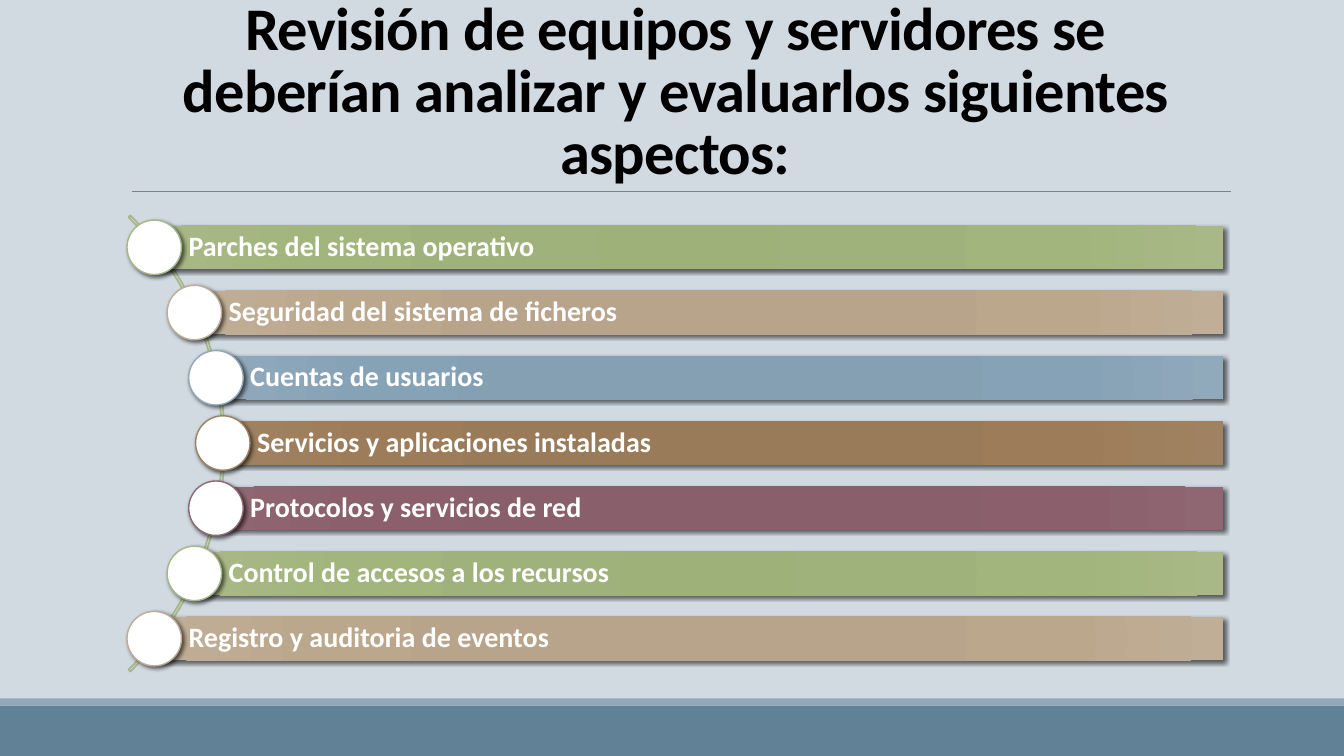
"""Build a slide listing the aspects to review on computers and servers."""
from math import sqrt

from lxml.etree import SubElement
from pptx import Presentation
from pptx.dml.color import RGBColor
from pptx.enum.shapes import MSO_CONNECTOR, MSO_SHAPE
from pptx.enum.text import MSO_ANCHOR, PP_ALIGN
from pptx.oxml import parse_xml
from pptx.oxml.ns import nsdecls, qn
from pptx.util import Inches, Pt

TITLE = "Revisión de equipos y servidores se deberían analizar y evaluarlos siguientes aspectos:"
GREEN = ("9EB179", "9FB27C", "A2B57C", "A8B987"), RGBColor(0xA7, 0xB7, 0x89)
SAND = ("B6A388", "B7A48B", "BBA78C", "C0AE96"), RGBColor(0xBE, 0xAE, 0x98)
BLUE = ("839EB2", "85A0B3", "86A2B6", "90A9BB"), RGBColor(0x92, 0xA9, 0xB9)
BROWN = ("997A56", "997B59", "9D7D59", "9F8262"), RGBColor(0x9C, 0x82, 0x65)
PLUM = ("885D6A", "895F6C", "8C5F6D", "8F6773"), RGBColor(0x8D, 0x69, 0x74)
ASPECTS = [
    ("Parches del sistema operativo", GREEN),
    ("Seguridad del sistema de ficheros", SAND),
    ("Cuentas de usuarios", BLUE),
    ("Servicios y aplicaciones instaladas", BROWN),
    ("Protocolos y servicios de red", PLUM),
    ("Control de accesos a los recursos", GREEN),
    ("Registro y auditoria de eventos", SAND),
]
BACKGROUND = RGBColor(0xD1, 0xD9, 0xE1)
FOOTER = RGBColor(0x61, 0x81, 0x97)
FOOTER_EDGE = RGBColor(0x92, 0xA9, 0xB9)
RULE = RGBColor(0x80, 0x80, 0x80)
WHITE = RGBColor(0xFF, 0xFF, 0xFF)
BLACK = RGBColor(0, 0, 0)

STOPS = (0, 34, 70, 100)
WIDTH, HEIGHT = 13.33, 7.5
MIDDLE_Y, STEP = 4.395, 0.647
CURVE_X, CURVE_RADIUS = -0.9, 3.11
BAR_RIGHT, BAR_HEIGHT, DOT = 12.13, 0.43, 0.54
TITLE_FONT = {"name": "Calibri", "size": Pt(43.2), "bold": True}
BAR_FONT = {"name": "Calibri", "size": Pt(20), "bold": True}
BAR_FRAME = {
    "word_wrap": True, "vertical_anchor": MSO_ANCHOR.MIDDLE,
    "margin_left": Inches(0.34), "margin_right": Inches(0.06),
    "margin_top": Inches(0.06), "margin_bottom": Inches(0.06),
}
TITLE_FRAME = {"word_wrap": True, "vertical_anchor": MSO_ANCHOR.BOTTOM}


def add_shape(slide, kind, box, fill=None, line=None, line_width=1):
    shape = slide.shapes.add_shape(kind, *map(Inches, box))
    shape.shadow.inherit = False
    if fill is None:
        shape.fill.background()
    else:
        shape.fill.solid()
        shape.fill.fore_color.rgb = fill
    if line is None:
        shape.line.fill.background()
    else:
        shape.line.color.rgb = line
        shape.line.width = Pt(line_width)
    return shape


def add_shadow(shape):
    effects = shape._element.spPr.find(qn("a:effectLst"))
    effects.append(parse_xml(
        f'<a:outerShdw {nsdecls("a")} blurRad="{Pt(3)}" dist="{Pt(2)}" dir="2700000" '
        'algn="ctr" rotWithShape="0"><a:srgbClr val="000000"><a:alpha val="60000"/>'
        '</a:srgbClr></a:outerShdw>'))


def set_radial_fill(shape, colors):
    stops = "".join(
        f'<a:gs pos="{stop * 1000}"><a:srgbClr val="{color}"/></a:gs>'
        for stop, color in zip(STOPS, colors))
    gradient = parse_xml(
        f'<a:gradFill {nsdecls("a")} rotWithShape="1"><a:gsLst>{stops}</a:gsLst>'
        '<a:path path="circle"><a:fillToRect l="100000" t="100000" r="100000" b="100000"/>'
        '</a:path></a:gradFill>')
    properties = shape._element.spPr
    properties.replace(properties.find(qn("a:noFill")), gradient)


def write_text(shape, text, frame_format, font_format, color, align, spacing):
    frame = shape.text_frame
    for name, value in frame_format.items():
        setattr(frame, name, value)
    paragraph = frame.paragraphs[0]
    paragraph.alignment = align
    paragraph.line_spacing = spacing
    run = paragraph.add_run()
    run.text = text
    for name, value in font_format.items():
        setattr(run.font, name, value)
    run.font.color.rgb = color
    return run


def add_frame(slide):
    slide.background.fill.solid()
    slide.background.fill.fore_color.rgb = BACKGROUND
    add_shape(slide, MSO_SHAPE.RECTANGLE, (0, 7, WIDTH, 0.5), FOOTER)
    add_shape(slide, MSO_SHAPE.RECTANGLE, (0, 6.93, WIDTH, 0.07), FOOTER_EDGE)
    rule = slide.shapes.add_connector(
        MSO_CONNECTOR.STRAIGHT, *map(Inches, (1.31, 1.9, 12.21, 1.9)))
    rule.line.color.rgb = RULE
    rule.line.width = Pt(0.5)
    SubElement(rule._element.spPr, qn("a:effectLst"))
    title = slide.shapes.add_textbox(*map(Inches, (1.2, 0.31, 11, 1.59)))
    run = write_text(title, TITLE, TITLE_FRAME, TITLE_FONT, BLACK, PP_ALIGN.CENTER, 0.85)
    run.font._element.set("spc", "-50")


def add_aspect(slide, index, text, colors, edge):
    offset = (index - len(ASPECTS) // 2) * STEP
    center_x = CURVE_X + sqrt(CURVE_RADIUS ** 2 - offset ** 2)
    center_y = MIDDLE_Y + offset
    bar = add_shape(slide, MSO_SHAPE.RECTANGLE, (
        center_x, center_y - BAR_HEIGHT / 2, BAR_RIGHT - center_x, BAR_HEIGHT))
    set_radial_fill(bar, colors)
    write_text(bar, text, BAR_FRAME, BAR_FONT, WHITE, PP_ALIGN.LEFT, 0.9)
    dot = add_shape(slide, MSO_SHAPE.OVAL, (
        center_x - DOT / 2, center_y - DOT / 2, DOT, DOT), WHITE, edge)
    for shape in (bar, dot):
        add_shadow(shape)


def main():
    presentation = Presentation()
    presentation.slide_width, presentation.slide_height = Inches(WIDTH), Inches(HEIGHT)
    slide = presentation.slides.add_slide(presentation.slide_layouts[6])
    add_frame(slide)
    arc = add_shape(slide, MSO_SHAPE.BLOCK_ARC, (-4.17, 1.2, 6.4, 6.4), None, GREEN[1], 1.25)
    for index, value in enumerate((189, 27, 0.004)):
        arc.adjustments[index] = value
    for index, (text, (colors, edge)) in enumerate(ASPECTS):
        add_aspect(slide, index, text, colors, edge)
    presentation.save("out.pptx")


if __name__ == "__main__":
    main()
